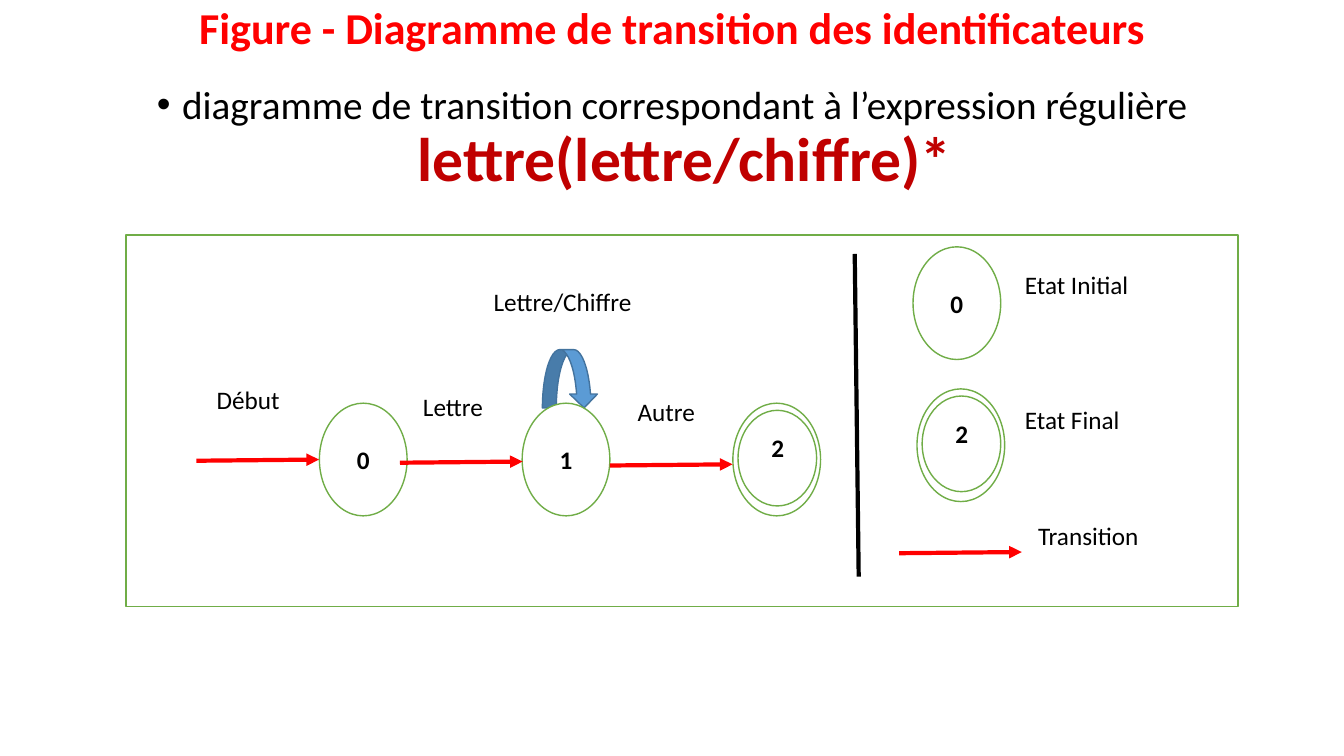
from lxml.etree import SubElement
from pptx import Presentation
from pptx.dml.color import RGBColor
from pptx.enum.shapes import MSO_CONNECTOR, MSO_SHAPE
from pptx.enum.text import MSO_ANCHOR, MSO_AUTO_SIZE, PP_ALIGN
from pptx.oxml.ns import qn
from pptx.util import Cm, Pt

BLACK, WHITE, RED, DARK_RED = "000000", "FFFFFF", "FF0000", "C00000"
GREEN, BLUE, DARK_BLUE = "70AD47", "5B9BD5", "43739E"
STATE_WIDTH, STATE_HEIGHT = 2.21, 2.84
ARROW_LENGTH, ARROW_RISE = 3.09, 0.03


def color(hex_string):
    return RGBColor.from_string(hex_string)


def add_text(paragraph, text, size=18, bold=False, ink=BLACK, align=PP_ALIGN.LEFT):
    paragraph.alignment = align
    run = paragraph.add_run()
    run.text = text
    run.font.name = "Calibri"
    run.font.size = Pt(size)
    run.font.bold = bold
    run.font.color.rgb = color(ink)


class Diagram:
    def __init__(self, slide):
        self.slide = slide

    def title(self, text):
        title = self.slide.shapes.title
        title.left, title.top, title.width, title.height = Cm(2.33), Cm(0), Cm(29.21), Cm(1.52)
        frame = title.text_frame
        frame.auto_size = MSO_AUTO_SIZE.NONE
        frame.vertical_anchor = MSO_ANCHOR.MIDDLE
        frame.paragraphs[0].line_spacing = 0.9
        add_text(frame.paragraphs[0], text, size=31.5, bold=True, ink=RED, align=PP_ALIGN.CENTER)

    def textbox(self, left, top, width, height=1.5):
        box = self.slide.shapes.add_textbox(Cm(left), Cm(top), Cm(width), Cm(height))
        box.text_frame.word_wrap = True
        return box.text_frame.paragraphs[0]

    def statement(self, text, expression):
        paragraph = self.textbox(2.33, 2.03, 29.21, 3.5)
        paragraph.line_spacing = 0.9
        paragraph.space_before = Pt(10)
        add_text(paragraph, text, size=28, align=PP_ALIGN.CENTER)
        add_text(paragraph, expression, size=44, bold=True, ink=DARK_RED, align=PP_ALIGN.CENTER)
        properties = paragraph._p.get_or_add_pPr()
        properties.set("marL", str(Cm(0.64)))
        properties.set("indent", str(Cm(-0.64)))
        SubElement(properties, qn("a:buFont")).set("typeface", "Arial")
        SubElement(properties, qn("a:buChar")).set("char", "•")

    def label(self, text, left, top, width=3.86, **text_format):
        add_text(self.textbox(left, top, width), text, **text_format)

    def shape(self, kind, left, top, width, height, fill=WHITE, line=GREEN):
        shape = self.slide.shapes.add_shape(kind, Cm(left), Cm(top), Cm(width), Cm(height))
        shape.shadow.inherit = False
        shape.fill.solid()
        shape.fill.fore_color.rgb = color(fill)
        shape.line.color.rgb = color(line)
        shape.line.width = Pt(1)
        return shape

    def state(self, text, left, top):
        shape = self.shape(MSO_SHAPE.OVAL, left, top, STATE_WIDTH, STATE_HEIGHT)
        shape.text_frame.vertical_anchor = MSO_ANCHOR.MIDDLE
        add_text(shape.text_frame.paragraphs[0], text, bold=True, align=PP_ALIGN.CENTER)

    def final_state(self, text, left, top):
        self.shape(MSO_SHAPE.OVAL, left, top, STATE_WIDTH, STATE_HEIGHT)
        self.shape(MSO_SHAPE.OVAL, left + 0.13, top + 0.18, 1.98, 2.41)
        self.label(text, left + 0.72, top + 0.62, 0.84, bold=True)

    def line(self, x1, y1, x2, y2, ink=BLACK):
        connector = self.slide.shapes.add_connector(
            MSO_CONNECTOR.STRAIGHT, Cm(x1), Cm(y1), Cm(x2), Cm(y2))
        connector.line.color.rgb = color(ink)
        connector.line.width = Pt(3)
        SubElement(connector._element.spPr, qn("a:effectLst"))
        return connector

    def arrow(self, left, top):
        connector = self.line(left, top, left + ARROW_LENGTH, top - ARROW_RISE, RED)
        SubElement(connector.line._get_or_add_ln(), qn("a:tailEnd")).set("type", "triangle")


def main():
    presentation = Presentation()
    presentation.slide_width, presentation.slide_height = Cm(33.87), Cm(19.05)
    diagram = Diagram(presentation.slides.add_slide(presentation.slide_layouts[5]))

    # Heading
    diagram.title("Figure - Diagramme de transition des identificateurs")
    diagram.statement("diagramme de transition correspondant à l’expression régulière ",
                      "lettre(lettre/chiffre)*")

    # Frame, loop and divider
    diagram.shape(MSO_SHAPE.RECTANGLE, 3.18, 5.92, 28.02, 9.37)
    diagram.shape(MSO_SHAPE.CURVED_DOWN_ARROW, 13.67, 8.81, 1.4, 1.47, BLUE, DARK_BLUE)
    diagram.line(21.54, 6.4, 21.64, 14.53)

    # States of the automaton, then of the legend
    diagram.state("0", 8.05, 10.16)
    diagram.state("1", 13.16, 10.16)
    diagram.final_state("2", 18.47, 10.16)
    diagram.state("0", 23.01, 6.22)
    diagram.final_state("2", 23.11, 9.8)

    # Transitions, the last one in the legend
    for left, top in ((4.95, 11.61), (10.08, 11.66), (15.37, 11.73), (22.66, 13.94)):
        diagram.arrow(left, top)

    # Labels
    diagram.label("Début", 5.21, 9.55)
    diagram.label("Lettre", 10.41, 9.73)
    diagram.label("Lettre/Chiffre", 12.19, 7.09, 4.32)
    diagram.label("Autre", 15.82, 9.86)
    diagram.label("Etat Initial", 25.58, 6.65)
    diagram.label("Etat Final", 25.58, 10.06)
    diagram.label("Transition", 25.91, 12.98)

    presentation.save("out.pptx")


if __name__ == "__main__":
    main()
